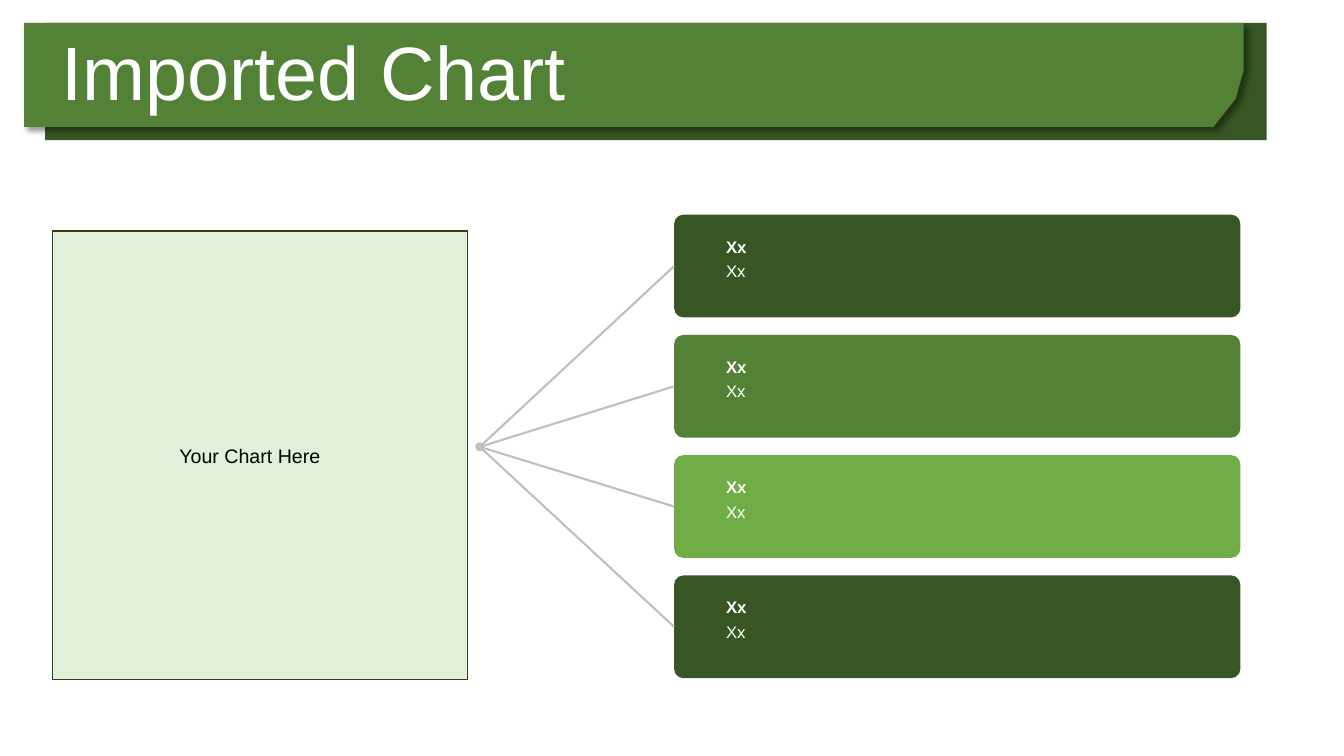
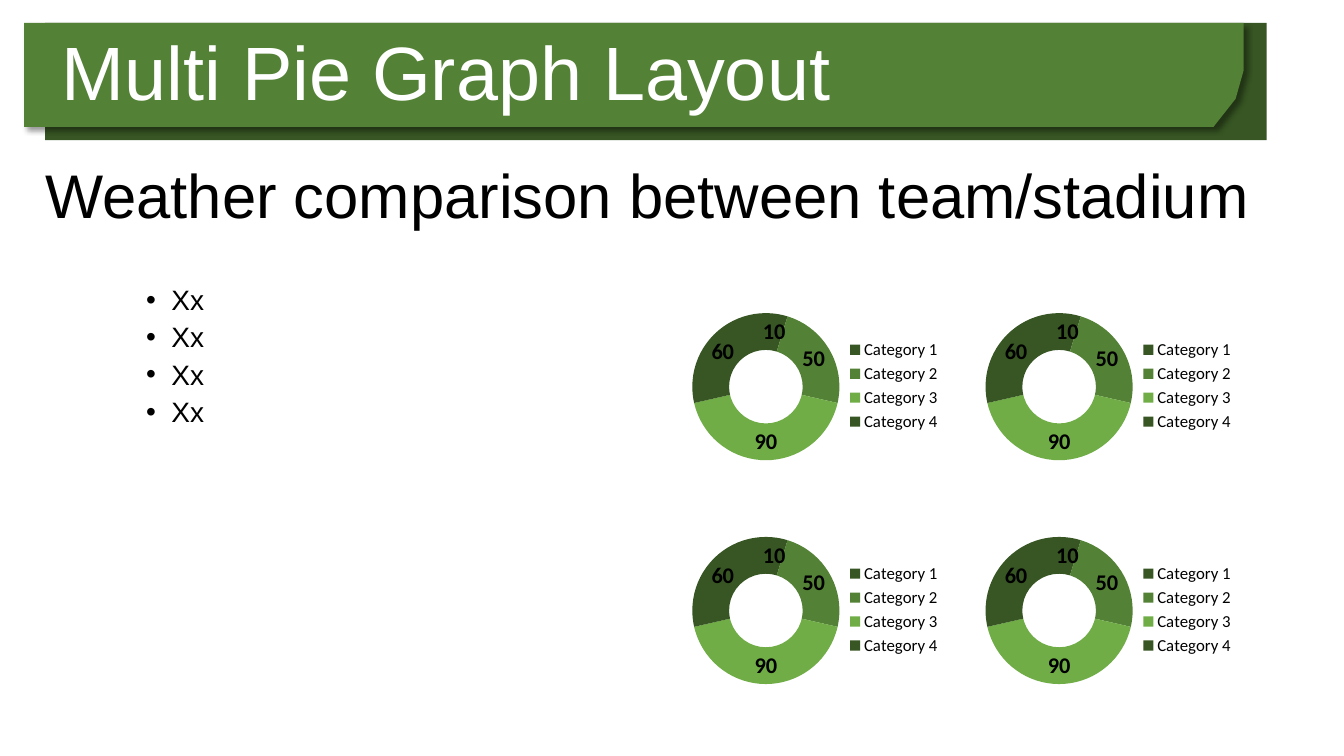
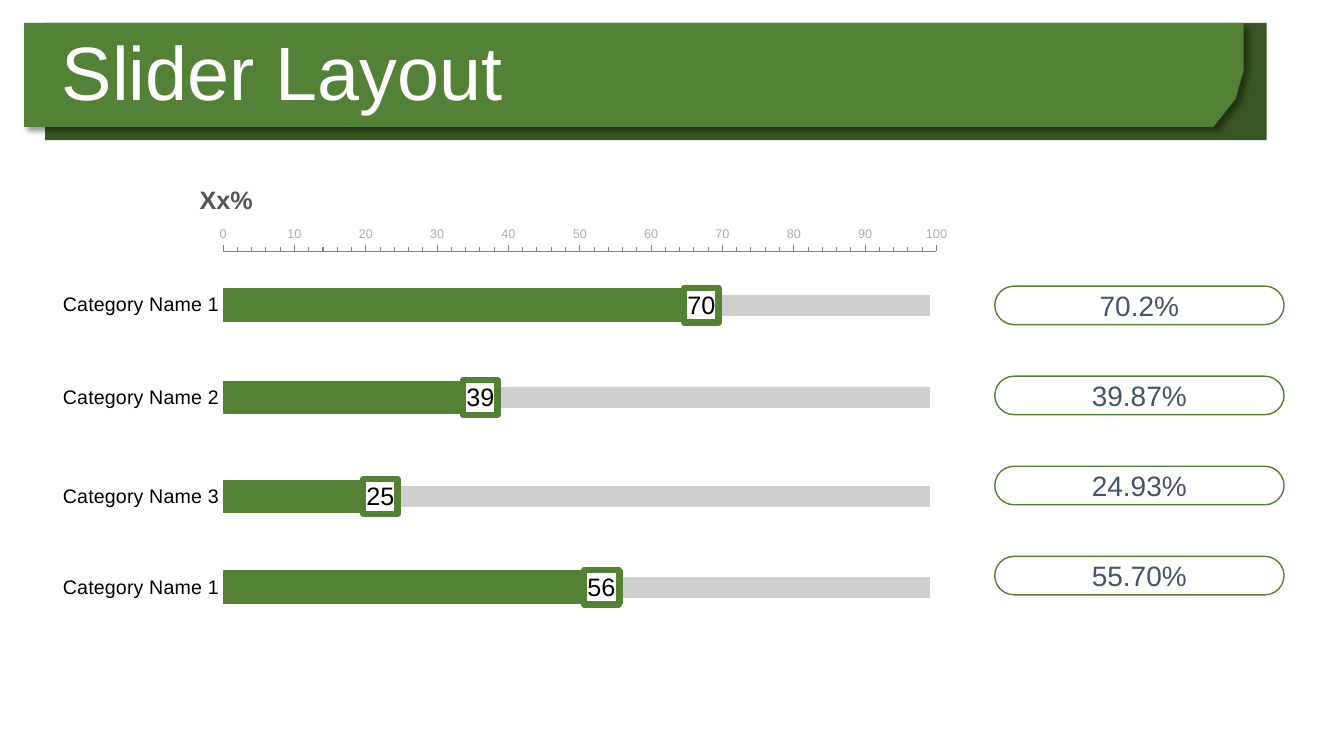
from itertools import product

from pptx import Presentation
from pptx.chart.data import CategoryChartData
from pptx.dml.color import RGBColor
from pptx.enum.chart import (XL_CHART_TYPE, XL_LABEL_POSITION,
                             XL_LEGEND_POSITION, XL_TICK_MARK)
from pptx.enum.shapes import MSO_CONNECTOR, MSO_SHAPE
from pptx.enum.text import MSO_ANCHOR, MSO_AUTO_SIZE, PP_ALIGN
from pptx.oxml import parse_xml
from pptx.oxml.ns import nsdecls, qn
from pptx.util import Cm, Pt

COLORS = {
    "dark": "375623", "mid": "538135", "light": "70AD47", "pale": "E2F0D9",
    "frame": "29401A", "slider": "548235", "track": "D0CECE",
    "connector": "BFBFBF", "scale": "AFABAB", "axis": "808080",
    "slate": "44546A", "caption": "555555", "white": "FFFFFF", "black": "000000",
}

# Lengths are centimetres; boxes are (left, top, width, height).
BAND_BACK = (1.14, 0.58, 30.78, 2.95)
BAND_FRONT = [(0.61, 0.58), (31.34, 0.58), (31.34, 1.78),
              (31.14, 2.49), (30.58, 3.2), (0.61, 3.2)]
TITLE_BOX = (1.3, 0.91, 27.89, 2.01)

CARDS = [("Xx", "Xx", "dark"), ("Xx", "Xx", "mid"),
         ("Xx", "Xx", "light"), ("Xx", "Xx", "dark")]
CARD_BOX, CARD_PITCH = (16.99, 5.41, 14.27, 2.59), 3.03
HUB = (12.09, 11.26)
CHART_AREA = (1.32, 5.82, 10.46, 11.3)

BULLETS = ["Xx"] * 4
BULLET_BOX = (0.89, 7.09, 16.08, 10.8)
SUBTITLE_BOX = (0.89, 4.04, 32, 1.85)
PIE = {"Category 1": (10, "dark"), "Category 2": (50, "mid"),
       "Category 3": (90, "light"), "Category 4": (60, "dark")}
PIE_LEFTS, PIE_TOPS, PIE_SIZE = (16.97, 24.36), (7.09, 12.73), (7.01, 5.26)
PIE_LAYOUT = (0.068, 0.071, 0.529, 0.868)

SLIDERS = [("Category Name 1", 70, 5.16, "70.2%"),
           ("Category Name 2", 39, 7.49, "39.87%"),
           ("Category Name 3", 25, 9.98, "24.93%"),
           ("Category Name 1", 56, 12.27, "55.70%")]
SLIDER_LEFT, SLIDER_SIZE = 0.86, (23.47, 4.19)
SLIDER_LAYOUT = (0.203, 0.281, 0.766, 0.646)
PILL_BOX, PILL_PITCH = (25.07, 7.21, 7.29, 0.97), 2.27
UNIT_BOX = (4.47, 4.65, 2.46, 0.97)


def rgb(name):
    return RGBColor.from_string(COLORS[name])


def cm(values):
    return [Cm(value) for value in values]


def assign(target, values):
    for name, value in values.items():
        setattr(target, name, value)


def style_font(font, size, color="black", bold=False, name="Arial"):
    assign(font, {"size": Pt(size), "bold": bold, "name": name})
    font.color.rgb = rgb(color)


def write(frame, text, size, color="black", bold=False, new=False, **layout):
    """Write one paragraph: the first of the frame, or a new one."""
    paragraph = frame.add_paragraph() if new else frame.paragraphs[0]
    assign(paragraph, {"alignment": PP_ALIGN.LEFT, **layout})
    run = paragraph.add_run()
    run.text = text
    style_font(run.font, size, color, bold)


def paint(shape, fill, line=None):
    shape.shadow.inherit = False
    shape.fill.solid()
    shape.fill.fore_color.rgb = rgb(fill)
    if line:
        shape.line.color.rgb = rgb(line)
        shape.line.width = Pt(1)
    else:
        shape.line.fill.background()
    return shape


def add_box(slide, preset, box, fill, line=None, rounding=None):
    shape = paint(slide.shapes.add_shape(preset, *cm(box)), fill, line)
    if rounding is not None:
        shape.adjustments[0] = rounding
    return shape


def move_placeholder(placeholder, box, anchor):
    assign(placeholder, dict(zip(("left", "top", "width", "height"), cm(box))))
    assign(placeholder.text_frame, {"auto_size": MSO_AUTO_SIZE.NONE,
                                    "vertical_anchor": anchor,
                                    "word_wrap": True})


def add_titled_slide(prs, layout, title):
    slide = prs.slides.add_slide(prs.slide_layouts.get_by_name(layout))
    move_placeholder(slide.shapes.title, TITLE_BOX, MSO_ANCHOR.MIDDLE)
    write(slide.shapes.title.text_frame, title, 54, "white",
          line_spacing=0.9, space_before=Pt(10))
    return slide


def put_band_on_master(prs, slide):
    """Draw the title band on a slide, then move it behind the master's parts."""
    back = add_box(slide, MSO_SHAPE.RECTANGLE, BAND_BACK, "dark")
    corners = [tuple(cm(point)) for point in BAND_FRONT]
    builder = slide.shapes.build_freeform(*corners[0])
    builder.add_line_segments(corners[1:], close=True)
    front = paint(builder.convert_to_shape(), "mid")
    front.element.spPr.find(qn("a:effectLst")).append(parse_xml(
        f'<a:outerShdw {nsdecls("a")} blurRad="{Pt(4)}" dist="{Pt(3)}" '
        'dir="2700000" algn="tl" rotWithShape="0"><a:srgbClr val="000000">'
        '<a:alpha val="40000"/></a:srgbClr></a:outerShdw>'))
    for order, part in enumerate((back, front)):
        part.element.nvSpPr.cNvPr.set("id", str(101 + order))
        prs.slide_master.shapes.element.insert(2 + order, part.element)


def add_spoke(slide, card):
    spoke = slide.shapes.add_connector(MSO_CONNECTOR.STRAIGHT, *cm(HUB + HUB))
    spoke.end_connect(card, 1)
    spoke.line.color.rgb = rgb("connector")
    spoke.line.width = Pt(1.5)
    properties = spoke.element.spPr
    properties.find(qn("a:ln")).append(
        parse_xml(f'<a:headEnd {nsdecls("a")} type="oval"/>'))
    properties.append(parse_xml(f'<a:effectLst {nsdecls("a")}/>'))


def add_clear_chart(slide, kind, data, box, layout):
    """Add a chart without background, with a fixed inner plot area."""
    chart = slide.shapes.add_chart(kind, *cm(box), data).chart
    chart.has_title = False
    chart.has_legend = False
    style_font(chart.font, 18)
    chart.element.find(qn("c:chart")).addnext(parse_xml(
        f'<c:spPr {nsdecls("c", "a")}><a:noFill/><a:ln><a:noFill/></a:ln></c:spPr>'))
    plot_area = chart.element.find(".//" + qn("c:plotArea"))
    for old in plot_area.findall(qn("c:layout")):
        plot_area.remove(old)
    sides = "".join(f'<c:{tag} val="{value}"/>'
                    for tag, value in zip("xywh", layout))
    plot_area.insert(0, parse_xml(
        f'<c:layout {nsdecls("c")}><c:manualLayout><c:layoutTarget val="inner"/>'
        f'<c:xMode val="edge"/><c:yMode val="edge"/>{sides}'
        '</c:manualLayout></c:layout>'))
    return chart


def add_doughnut(slide, left, top):
    data = CategoryChartData()
    data.categories = PIE
    data.add_series("Series 1", [value for value, _ in PIE.values()])
    chart = add_clear_chart(slide, XL_CHART_TYPE.DOUGHNUT, data,
                            (left, top, *PIE_SIZE), PIE_LAYOUT)
    style_font(chart.font, 12, name="Calibri")
    chart.has_legend = True
    assign(chart.legend, {"position": XL_LEGEND_POSITION.RIGHT,
                          "include_in_layout": False})
    plot = chart.plots[0]
    assign(plot, {"vary_by_categories": True, "has_data_labels": True})
    assign(plot.data_labels, {"show_value": True, "show_percentage": False})
    style_font(plot.data_labels.font, 16, bold=True, name="Calibri")
    for index, (_, color) in enumerate(PIE.values()):
        fill = plot.series[0].points[index].format.fill
        fill.solid()
        fill.fore_color.rgb = rgb(color)


def add_slider(slide, category, value, top, with_scale):
    data = CategoryChartData()
    data.categories = [category]
    data.add_series("Series 1", [100])
    data.add_series("Series 2", [value])
    chart = add_clear_chart(slide, XL_CHART_TYPE.BAR_CLUSTERED, data,
                            (SLIDER_LEFT, top, *SLIDER_SIZE), SLIDER_LAYOUT)
    plot = chart.plots[0]
    assign(plot, {"gap_width": 220, "overlap": 100, "vary_by_categories": False})

    track, level = plot.series
    for series, color in ((track, "track"), (level, "slider")):
        series.format.fill.solid()
        series.format.fill.fore_color.rgb = rgb(color)
    track.format.line.color.rgb = rgb("white")
    track.format.line.width = Pt(9)

    labels = level.data_labels
    assign(labels, {"show_value": True, "position": XL_LABEL_POSITION.INSIDE_END,
                    "number_format": "#,##0", "number_format_is_linked": False})
    style_font(labels.font, 18)
    chart.element.find(f'.//{qn("c:dLbls")}/{qn("c:txPr")}').addprevious(parse_xml(
        f'<c:spPr {nsdecls("c", "a")}><a:solidFill><a:srgbClr val="{COLORS["white"]}"/>'
        f'</a:solidFill><a:ln w="{Pt(4.5)}"><a:solidFill><a:srgbClr '
        f'val="{COLORS["slider"]}"/></a:solidFill><a:round/></a:ln></c:spPr>'))

    names, scale = chart.category_axis, chart.value_axis
    assign(names, {"reverse_order": True, "has_major_gridlines": False,
                   "major_tick_mark": XL_TICK_MARK.NONE})
    names.format.line.fill.background()
    style_font(names.tick_labels.font, 14)
    assign(scale, {"minimum_scale": 0, "maximum_scale": 100, "major_unit": 10,
                   "minor_unit": 2, "has_major_gridlines": False,
                   "major_tick_mark": XL_TICK_MARK.OUTSIDE,
                   "minor_tick_mark": XL_TICK_MARK.OUTSIDE,
                   "visible": with_scale})
    style_font(scale.tick_labels.font, 9, "scale")
    scale.format.line.color.rgb = rgb("axis")


def build_imported_chart(prs):
    slide = add_titled_slide(prs, "Title Only", "Imported Chart")
    put_band_on_master(prs, slide)
    left, top, width, height = CARD_BOX
    for row, (heading, detail, color) in enumerate(CARDS):
        card = add_box(slide, MSO_SHAPE.ROUNDED_RECTANGLE,
                       (left, top + row * CARD_PITCH, width, height),
                       color, rounding=0.09)
        frame = card.text_frame
        assign(frame, {"margin_left": Cm(1.24), "margin_top": Cm(0.48),
                       "vertical_anchor": MSO_ANCHOR.TOP})
        write(frame, heading, 12, "white", bold=True)
        write(frame, detail, 12, "white", new=True, space_before=Pt(3))
        add_spoke(slide, card)
    area = add_box(slide, MSO_SHAPE.RECTANGLE, CHART_AREA, "pale", "frame")
    assign(area.text_frame, {"margin_left": Cm(3.2),
                             "vertical_anchor": MSO_ANCHOR.MIDDLE})
    write(area.text_frame, "Your Chart Here", 14)


def build_multi_pie(prs):
    slide = add_titled_slide(prs, "Title and Content", "Multi Pie Graph Layout")
    subtitle = slide.shapes.add_textbox(*cm(SUBTITLE_BOX)).text_frame
    subtitle.word_wrap = True
    write(subtitle, "Weather comparison between team/stadium", 44, line_spacing=0.9)
    body = slide.placeholders[1]
    move_placeholder(body, BULLET_BOX, MSO_ANCHOR.TOP)
    for index, bullet in enumerate(BULLETS):
        write(body.text_frame, bullet, 20, new=index > 0, level=2,
              line_spacing=0.9, space_before=Pt(5))
    for top, left in product(PIE_TOPS, PIE_LEFTS):
        add_doughnut(slide, left, top)


def build_slider(prs):
    slide = add_titled_slide(prs, "Title Only", "Slider Layout")
    for row, (category, value, top, _) in reversed(list(enumerate(SLIDERS))):
        add_slider(slide, category, value, top, with_scale=row == 0)
    left, top, width, height = PILL_BOX
    for row, (*_, share) in enumerate(SLIDERS):
        pill = add_box(slide, MSO_SHAPE.ROUNDED_RECTANGLE,
                       (left, top + row * PILL_PITCH, width, height),
                       "white", "slider", rounding=0.5)
        assign(pill.text_frame, {"margin_top": 0, "margin_bottom": 0,
                                 "vertical_anchor": MSO_ANCHOR.MIDDLE})
        write(pill.text_frame, share, 20, "slate", alignment=PP_ALIGN.CENTER)
    unit = slide.shapes.add_textbox(*cm(UNIT_BOX)).text_frame
    assign(unit, {f"margin_{side}": 0 for side in ("left", "top", "right", "bottom")})
    unit.word_wrap = True
    write(unit, "Xx%", 18, "caption", bold=True, alignment=PP_ALIGN.CENTER)


def main():
    prs = Presentation()
    assign(prs, {"slide_width": Cm(33.87), "slide_height": Cm(19.05)})
    for build in (build_imported_chart, build_multi_pie, build_slider):
        build(prs)
    prs.save("out.pptx")


if __name__ == "__main__":
    main()
